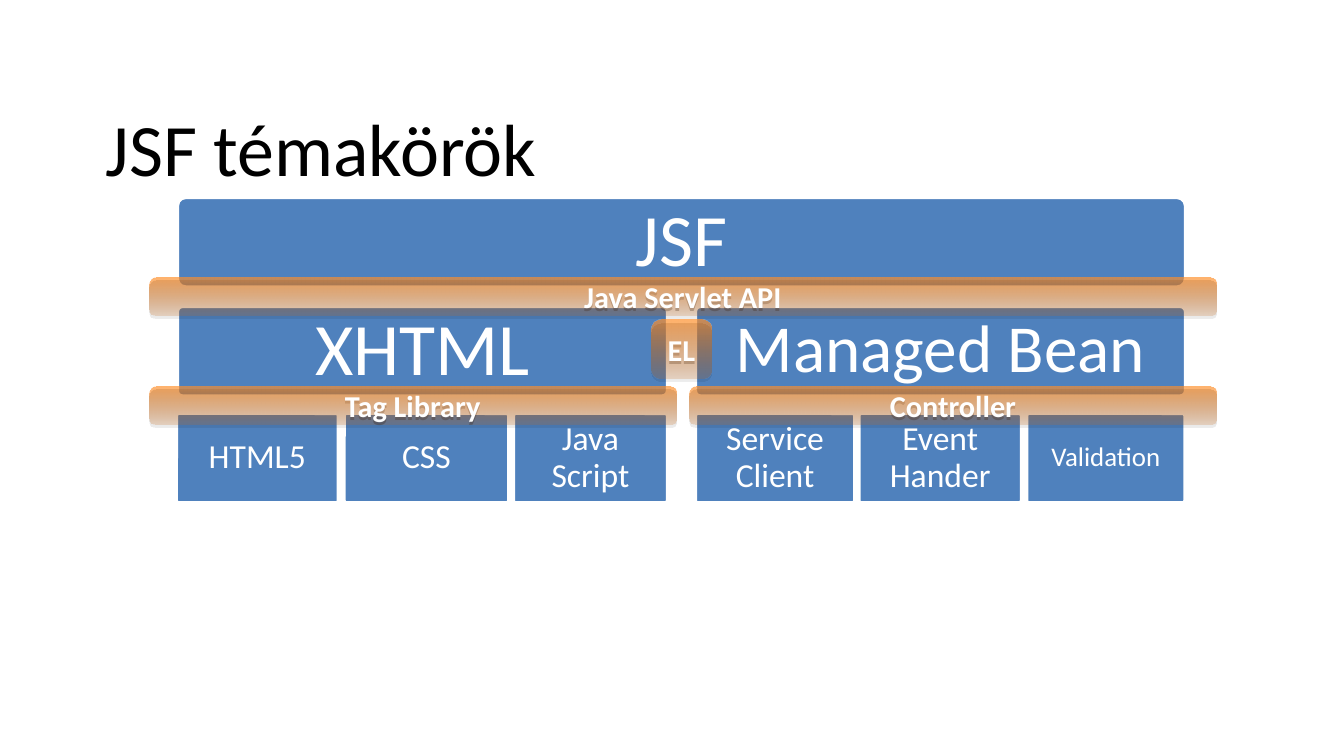
from lxml import etree
from pptx import Presentation
from pptx.dml.color import RGBColor
from pptx.enum.shapes import MSO_SHAPE
from pptx.enum.text import MSO_ANCHOR, PP_ALIGN
from pptx.oxml.ns import qn
from pptx.util import Cm, Pt

ROUNDED = MSO_SHAPE.ROUNDED_RECTANGLE
MIDDLE = MSO_ANCHOR.MIDDLE
LEFT, CENTER = PP_ALIGN.LEFT, PP_ALIGN.CENTER

FONT = "Calibri"
COLORS = {
    "title": "000000",
    "block": "4F81BD",
    "white": "FFFFFF",
    "bar_bottom": "CB6C1D",
    "bar_top": "FF8F2A",
    "shadow": "000000",
}

BLOCK_HEIGHT = 1.7
ROW_TOPS = (3.73, 5.79, 7.81)
CORNERS = (0.16, 0.1, 0.05)
BAR_HEIGHT = 0.72

# Per row: left, width, runs of (text, size)
BLOCK_ROWS = (
    ((3.35, 19.06, [("JSF", 39.6)]),),
    (
        (3.35, 9.27, [("XHTML", 39.6)]),
        (13.14, 9.27, [("Managed Bean", 36)]),
    ),
    (
        (3.33, 3.07, [("HTML5", 18)]),
        (6.5, 3.12, [("CSS", 18)]),
        (9.7, 2.92, [("Java Script", 18)]),
        (13.14, 3.02, [("Service Client", 18)]),
        (16.23, 3.08, [("Event", 18), (" ", 16.2), ("Hander", 18)]),
        (19.4, 3.0, [("Validation", 14.4)]),
    ),
)

# Left, top, width, height, corner radius, label
BARS = (
    (2.82, 7.3, 9.96, BAR_HEIGHT, 0.13, "Tag Library"),
    (2.82, 5.24, 20.17, BAR_HEIGHT, 0.13, "Java Servlet API"),
    (13.03, 7.3, 9.96, BAR_HEIGHT, 0.13, "Controller"),
    (12.32, 6.05, 1.12, 1.1, 0.18, "EL"),
)


def color(name):
    return RGBColor.from_string(COLORS[name])


def write_text(shape, runs, color_name, align, inset, bold=False, spacing=None):
    frame = shape.text_frame
    frame.word_wrap = True
    frame.vertical_anchor = MIDDLE
    frame.margin_left = frame.margin_right = Cm(inset)
    frame.margin_top = frame.margin_bottom = 0
    paragraph = frame.paragraphs[0]
    paragraph.alignment = align
    if spacing:
        paragraph.line_spacing = spacing
    for text, size in runs:
        run = paragraph.add_run()
        run.text = text
        run.font.name = FONT
        run.font.size = Pt(size)
        run.font.bold = bold
        run.font.color.rgb = color(color_name)


def add_rounded(slide, left, top, width, height, radius):
    shape = slide.shapes.add_shape(
        ROUNDED, Cm(left), Cm(top), Cm(width), Cm(height))
    shape.adjustments[0] = radius / min(width, height)
    shape.shadow.inherit = False
    return shape


def set_alpha(color_element, percent):
    alpha = etree.SubElement(color_element, qn("a:alpha"))
    alpha.set("val", str(percent * 1000))


def add_drop_shadow(shape):
    effects = shape._element.spPr.find(qn("a:effectLst"))
    shadow = etree.SubElement(effects, qn("a:outerShdw"), {
        "blurRad": "0", "dist": str(Pt(1.8)), "dir": "5400000",
        "rotWithShape": "0"})
    shade = etree.SubElement(shadow, qn("a:srgbClr"), val=COLORS["shadow"])
    set_alpha(shade, 35)


def add_title(slide, text):
    box = slide.shapes.add_textbox(Cm(1.75), Cm(2.13), Cm(21.9), Cm(1.52))
    write_text(box, [(text, 39.6)], "title", LEFT, 0.25, spacing=0.9)


def add_block(slide, left, top, width, radius, runs):
    block = add_rounded(slide, left, top, width, BLOCK_HEIGHT, radius)
    block.fill.solid()
    block.fill.fore_color.rgb = color("block")
    block.line.color.rgb = color("white")
    block.line.width = Pt(2)
    write_text(block, runs, "white", CENTER, 0.4, spacing=0.9)


def add_bar(slide, left, top, width, height, radius, label):
    """Add a bar whose orange fades out towards the bottom."""
    bar = add_rounded(slide, left, top, width, height, radius)
    bar.line.fill.background()
    bar.fill.gradient()
    bar.fill.gradient_angle = 90
    for stop, name in zip(bar.fill.gradient_stops, ("bar_bottom", "bar_top")):
        stop.color.rgb = color(name)
    stop_colors = bar._element.spPr.iterfind(".//" + qn("a:gs"))
    for stop, opacity in zip(stop_colors, (20, 70)):
        set_alpha(stop[0], opacity)
    add_drop_shadow(bar)
    write_text(bar, [(label, 16.2)], "white", CENTER, 0.2, bold=True)


def main():
    presentation = Presentation()
    presentation.slide_width = Cm(25.4)
    presentation.slide_height = Cm(14.29)
    slide = presentation.slides.add_slide(presentation.slide_layouts[6])

    add_title(slide, "JSF témakörök")
    for top, radius, row in zip(ROW_TOPS, CORNERS, BLOCK_ROWS):
        for left, width, runs in row:
            add_block(slide, left, top, width, radius, runs)
    for bar in BARS:
        add_bar(slide, *bar)

    presentation.save("out.pptx")


if __name__ == "__main__":
    main()
